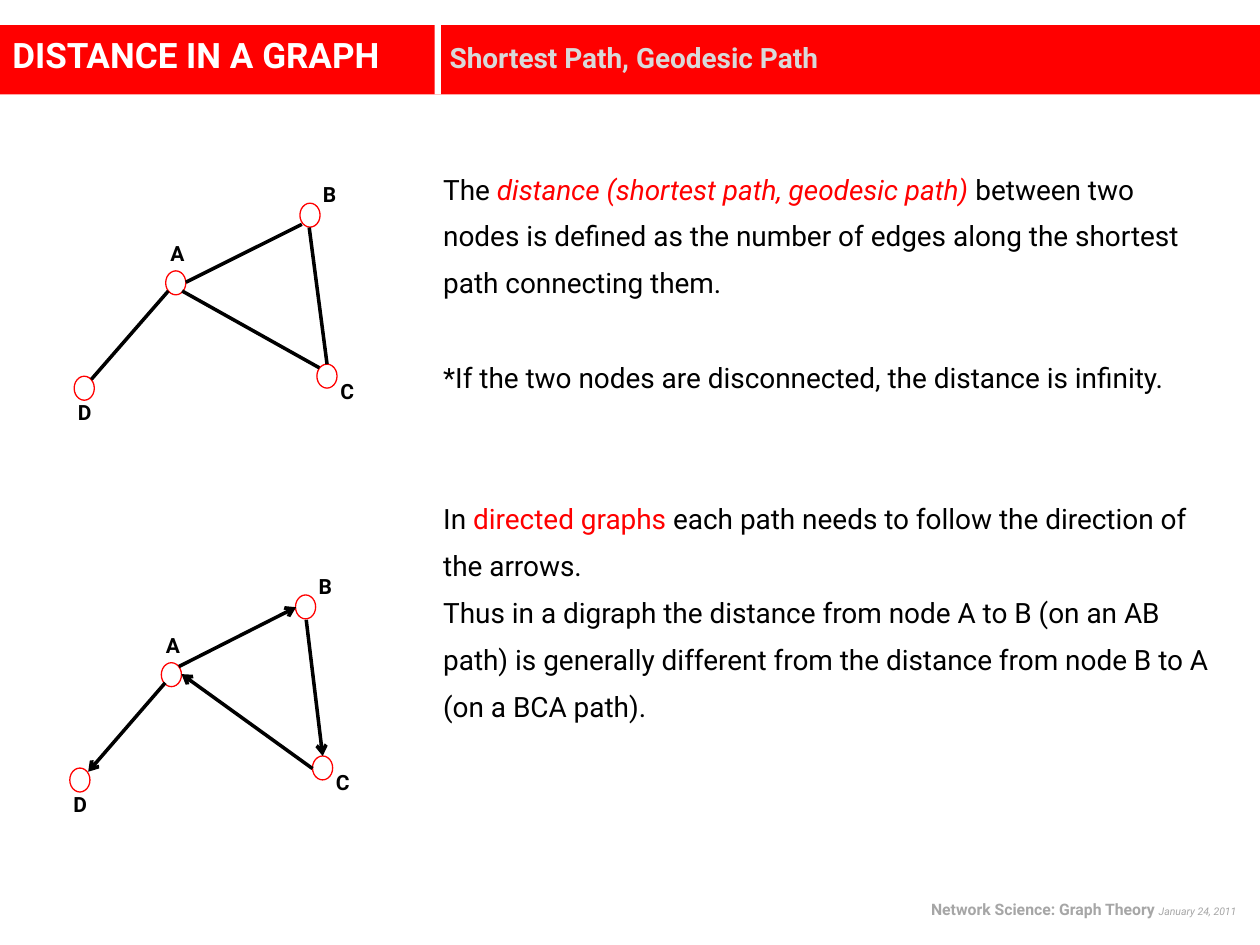
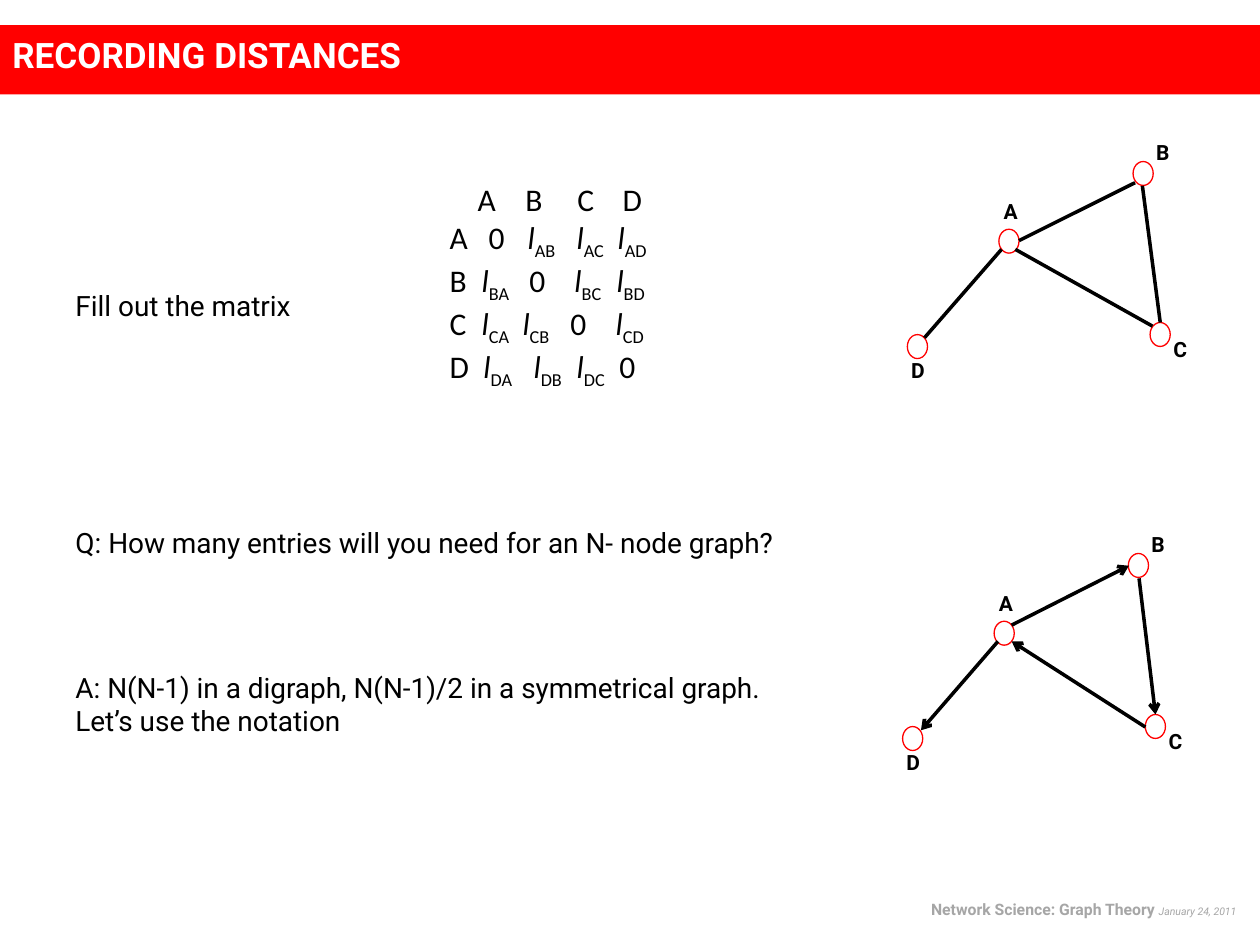
"""Build two slides on distances between the nodes of a graph."""
from dataclasses import dataclass

from lxml.etree import SubElement
from pptx import Presentation
from pptx.dml.color import RGBColor
from pptx.enum.shapes import MSO_CONNECTOR, MSO_SHAPE
from pptx.enum.text import MSO_ANCHOR, MSO_AUTO_SIZE, PP_ALIGN
from pptx.oxml.ns import qn
from pptx.shapes.autoshape import Shape
from pptx.slide import Slide
from pptx.text.text import _Paragraph
from pptx.util import Pt

COLORS = {
    "red": "FF0000",
    "black": "000000",
    "white": "FFFFFF",
    "subtitle": "D9D9D9",
    "footer": "A6A6A6",
}
BODY_FONT, MATRIX_FONT = "Roboto", "Calibri"
BAND_TOP, BAND_HEIGHT = 14.4, 39.6
NODE_WIDTH, NODE_HEIGHT = 11.5, 13.7
LABEL_WIDTH, LABEL_HEIGHT = 19.4, 14.4
LINE_GAP = 26.9


@dataclass(frozen=True)
class Span:
    """A stretch of text in one style."""
    text: str
    size: float = 16
    color: str = "black"
    bold: bool = False
    italic: bool = False
    font: str = BODY_FONT
    baseline: int = 0


@dataclass(frozen=True)
class Para:
    """A paragraph with its spacing, alignment and tab stops."""
    spans: tuple[Span, ...]
    line_spacing: float | None = None
    before: float = 0
    align: PP_ALIGN = PP_ALIGN.LEFT
    tabs: tuple[float, ...] = ()


@dataclass(frozen=True)
class Box:
    """A place on the slide, in points."""
    left: float
    top: float
    width: float
    height: float


@dataclass(frozen=True)
class Node:
    """A node and its label, measured from the corner of node A."""
    name: str
    x: float
    y: float
    label_x: float
    label_y: float


@dataclass(frozen=True)
class Edge:
    """A line between two nodes, measured from the corner of node A."""
    x1: float
    y1: float
    x2: float
    y2: float


NODES = (
    Node("A", 0, 0, -3, -17.3),
    Node("B", 76.7, -38.7, 84, -51),
    Node("C", 86.4, 53.3, 94, 61.3),
    Node("D", -52.3, 60.2, -56, 73.5),
)
UNDIRECTED = (
    Edge(-42.5, 62, 1.5, 11.5),
    Edge(11.5, 6.5, 77.8, -26.6),
    Edge(92.2, 53.3, 82, -24.8),
    Edge(9.4, 11.5, 87.8, 55.4),
)
OUTGOING = (
    Edge(2.2, 11.5, -41.8, 62.3),
    Edge(10, 2.2, 77, -31.7),
    Edge(82.8, -24.5, 92.2, 53.3),
)
DIRECTED_TO_SIDE = OUTGOING + (Edge(86.4, 60.5, 11.5, 6.5),)
DIRECTED_TO_CORNER = OUTGOING + (Edge(86.4, 60.5, 10, 11.5),)
MATRIX_TABS = {
    "": (16, 43.4, 73, 98.9),
    "A": (22.3, 44.6, 72.6, 96),
    "B": (18.3, 45.7, 71.4, 95.4),
    "C": (18.3, 41.7, 69.1, 94.9),
    "D": (19.4, 48, 72.6, 97.1),
}


def rgb(name: str) -> RGBColor:
    """Return the named colour."""
    return RGBColor.from_string(COLORS[name])


def write_paragraph(paragraph: _Paragraph, para: Para) -> None:
    """Fill one paragraph with styled runs."""
    if para.tabs:
        stops = SubElement(paragraph._p.get_or_add_pPr(), qn("a:tabLst"))
        for position in para.tabs:
            SubElement(stops, qn("a:tab"), pos=str(Pt(position)), algn="l")
    paragraph.alignment = para.align
    if para.line_spacing:
        paragraph.line_spacing = para.line_spacing
    if para.before:
        paragraph.space_before = Pt(para.before)
    for span in para.spans:
        run = paragraph.add_run()
        run.text = span.text
        run.font.name = span.font
        run.font.size = Pt(span.size)
        run.font.bold = span.bold
        run.font.italic = span.italic
        run.font.color.rgb = rgb(span.color)
        if span.baseline:
            run._r.get_or_add_rPr().set("baseline", str(span.baseline * 1000))


def write(shape: Shape, paras: tuple[Para, ...]) -> None:
    """Write all paragraphs into a shape."""
    frame = shape.text_frame
    for index, para in enumerate(paras):
        write_paragraph(frame.add_paragraph() if index else frame.paragraphs[0], para)


def add_text(slide: Slide, box: Box, *paras: Para, wrap: bool = True) -> Shape:
    """Add a text box that grows with its text."""
    text = slide.shapes.add_textbox(Pt(box.left), Pt(box.top), Pt(box.width), Pt(box.height))
    text.text_frame.word_wrap = wrap
    text.text_frame.auto_size = MSO_AUTO_SIZE.SHAPE_TO_FIT_TEXT
    write(text, paras)
    return text


def add_block(slide: Slide, box: Box, color: str) -> Shape:
    """Add a plain filled rectangle."""
    block = slide.shapes.add_shape(
        MSO_SHAPE.RECTANGLE, Pt(box.left), Pt(box.top), Pt(box.width), Pt(box.height))
    block.shadow.inherit = False
    block.fill.solid()
    block.fill.fore_color.rgb = rgb(color)
    block.line.fill.background()
    return block


def add_frame(slide: Slide, title: str, subtitle: str = "") -> None:
    """Add the title band and the footer."""
    band = add_block(slide, Box(0, BAND_TOP, 720, BAND_HEIGHT), "red")
    band.text_frame.vertical_anchor = MSO_ANCHOR.TOP
    band.text_frame.margin_top = Pt(5)
    heading = Span(title, 20, "white", bold=True)
    if subtitle:
        spans = (heading, Span("\t" + subtitle, 16, "subtitle", bold=True))
        write(band, (Para(spans, tabs=(249.9,)),))
        add_block(slide, Box(248.4, BAND_TOP, 3.6, BAND_HEIGHT), "white")
    else:
        write(band, (Para((heading,)),))
    add_text(slide, Box(509.8, 510.5, 203.8, 18), Para((
        Span("Network Science: Graph Theory ", 9, "footer", bold=True),
        Span("January 24, 2011", 6, "footer", italic=True),
    ), align=PP_ALIGN.RIGHT))


def add_edge(slide: Slide, left: float, top: float, edge: Edge, arrow: bool) -> None:
    """Draw one edge, with an arrowhead if it is directed."""
    link = slide.shapes.add_connector(
        MSO_CONNECTOR.STRAIGHT, Pt(left + edge.x1), Pt(top + edge.y1),
        Pt(left + edge.x2), Pt(top + edge.y2))
    link.line.color.rgb = rgb("black")
    link.line.width = Pt(2)
    if arrow:
        SubElement(link.line._get_or_add_ln(), qn("a:tailEnd"), type="arrow")
    SubElement(link._element.spPr, qn("a:effectLst"))


def add_graph(slide: Slide, left: float, top: float, edges: tuple[Edge, ...],
              directed: bool = False) -> None:
    """Draw the four-node graph with node A at the given corner."""
    for node in NODES:
        circle = slide.shapes.add_shape(
            MSO_SHAPE.OVAL, Pt(left + node.x), Pt(top + node.y),
            Pt(NODE_WIDTH), Pt(NODE_HEIGHT))
        circle.shadow.inherit = False
        circle.fill.background()
        circle.line.color.rgb = rgb("red")
        circle.line.width = Pt(0.75)
    for edge in edges:
        add_edge(slide, left, top, edge, directed)
    for node in NODES:
        label = add_text(
            slide, Box(left + node.label_x, top + node.label_y, LABEL_WIDTH, LABEL_HEIGHT),
            Para((Span(node.name, 12, bold=True),), align=PP_ALIGN.CENTER))
        frame = label.text_frame
        frame.margin_left = frame.margin_right = Pt(2)
        frame.margin_top = frame.margin_bottom = 0


def matrix_row(row: str) -> Para:
    """Return a row of the distance matrix, or its header for an empty name."""
    spans = [Span(row, 18, font=MATRIX_FONT)] if row else []
    for column in "ABCD":
        if not row or row == column:
            entry = "0" if row else column
            spans.append(Span("\t" + entry, 18, font=MATRIX_FONT))
        else:
            spans.append(Span("\tl", 18, italic=True, font=MATRIX_FONT))
            spans.append(Span(row + column, 18, font=MATRIX_FONT, baseline=-25))
    return Para(tuple(spans), tabs=MATRIX_TABS[row])


def build_distance_slide(slide: Slide) -> None:
    """Define distance in plain and directed graphs."""
    add_text(
        slide, Box(246.2, 87.1, 455.8, 331.9),
        Para((
            Span("The "),
            Span("distance (shortest path, geodesic path) ", color="red", italic=True),
            Span("between two nodes is defined as the number of edges along the "
                 "shortest path connecting them."),
        ), 1.4),
        Para((Span("*If the two nodes are disconnected, the distance is infinity."),),
             1.4, LINE_GAP),
        Para((
            Span("In "),
            Span("directed graphs ", color="red"),
            Span("each path needs to follow the direction of the arrows."),
        ), 1.4, 2 * LINE_GAP),
        Para((Span("Thus in a digraph the distance from node A to B (on an AB path) is "
                   "generally different from the distance from node B to A "
                   "(on a BCA path)."),), 1.4))
    add_frame(slide, "DISTANCE IN A GRAPH", "Shortest Path, Geodesic Path")
    add_graph(slide, 92.2, 378.7, DIRECTED_TO_SIDE, directed=True)
    add_graph(slide, 94.7, 154.8, UNDIRECTED)


def build_recording_slide(slide: Slide) -> None:
    """Show the distance matrix and count its entries."""
    add_text(slide, Box(36, 149.8, 137.5, 36),
             Para((Span("Fill out the matrix"),), 1.6), wrap=False)
    add_text(slide, Box(249.8, 99.4, 133.2, 138.2), *map(matrix_row, MATRIX_TABS))
    add_text(slide, Box(36, 296.6, 425.5, 48.2),
             Para((Span("Q: How many entries will you need for an N- node graph?"),)),
             wrap=False)
    add_text(slide, Box(36, 379.4, 414, 46),
             Para((Span("A: N(N-1) in a digraph, N(N-1)/2 in a symmetrical graph."),)),
             Para((Span("Let’s use the notation"),)), wrap=False)
    add_frame(slide, "RECORDING DISTANCES")
    add_graph(slide, 568.1, 355, DIRECTED_TO_CORNER, directed=True)
    add_graph(slide, 570.8, 131, UNDIRECTED)


def main() -> None:
    """Build and save the presentation."""
    deck = Presentation()
    deck.slide_width, deck.slide_height = Pt(720), Pt(540)
    for build in (build_distance_slide, build_recording_slide):
        build(deck.slides.add_slide(deck.slide_layouts[6]))
    deck.save("out.pptx")


if __name__ == "__main__":
    main()
